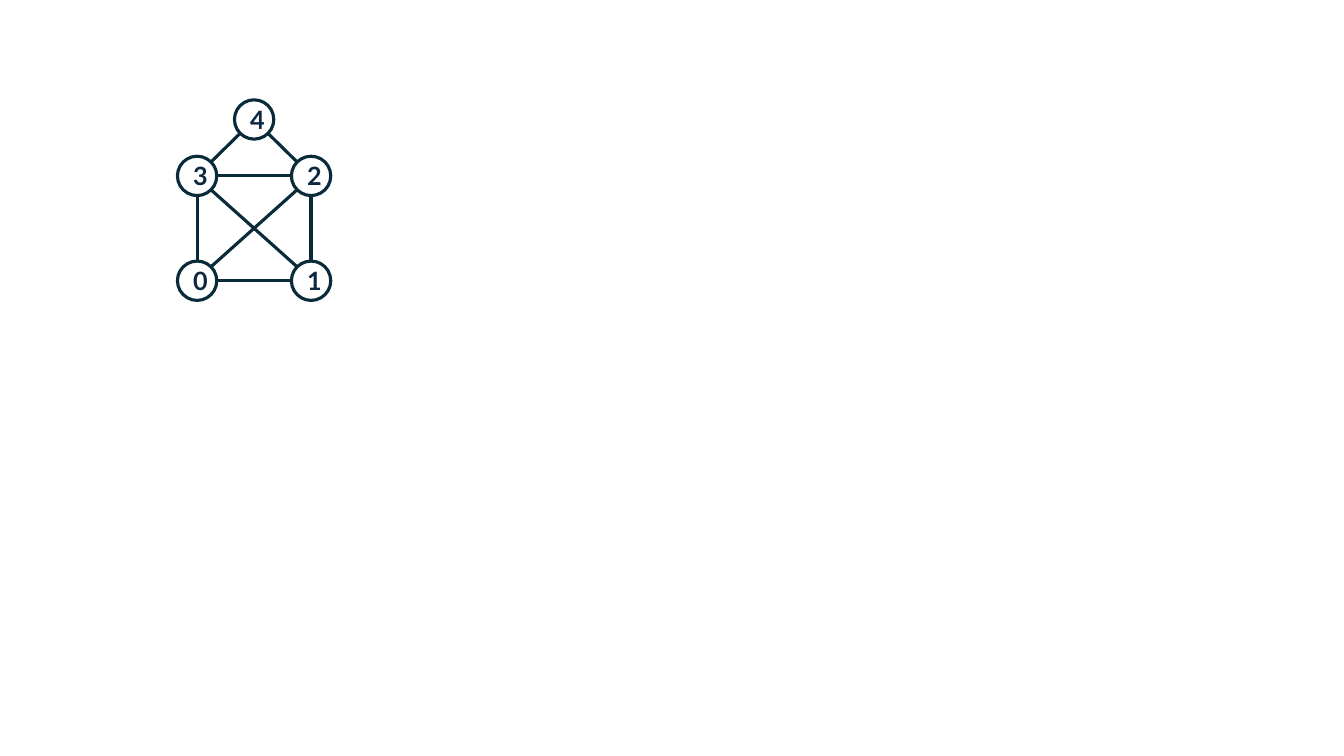
from math import hypot

from pptx import Presentation
from pptx.dml.color import RGBColor
from pptx.enum.shapes import MSO_CONNECTOR, MSO_SHAPE
from pptx.enum.text import MSO_ANCHOR, PP_ALIGN
from pptx.oxml.ns import qn
from pptx.util import Inches, Pt

LINE = RGBColor(0x09, 0x2A, 0x39)
INK = RGBColor(0x0E, 0x28, 0x41)
OVAL = MSO_SHAPE.OVAL
STRAIGHT = MSO_CONNECTOR.STRAIGHT
MIDDLE = MSO_ANCHOR.MIDDLE
CENTER = PP_ALIGN.CENTER

SIZE = 0.39
SPOTS = {"0": (0, 1), "1": (1, 1), "3": (0, 0.35), "2": (1, 0.35), "4": (0.5, 0)}
EDGES = ["43", "24", "23", "30", "31", "20", "10", "21"]


def write(frame, text, size=18, font="Lato", color=INK, bold=True):
    """Put centred text in a frame."""
    frame.vertical_anchor = MIDDLE
    para = frame.paragraphs[0]
    para.alignment = CENTER
    run = para.add_run()
    run.text = text
    run.font.size = Pt(size)
    run.font.name = font
    run.font.bold = bold
    run.font.color.rgb = color


def stroke(line):
    """Give a line the graph's colour and width."""
    line.color.rgb = LINE
    line.width = Pt(2.25)


def add_node(slide, name, x, y):
    """Draw a labelled circle centred on a point."""
    half = SIZE / 2
    node = slide.shapes.add_shape(
        OVAL, Inches(x - half), Inches(y - half), Inches(SIZE), Inches(SIZE))
    node.shadow.inherit = False
    node.fill.background()
    stroke(node.line)
    write(node.text_frame, name)


def rim(start, goal):
    """Find the point on a circle's rim, in steps of 45 degrees, facing a goal."""
    signs = [(b > a) - (b < a) for a, b in zip(start, goal)]
    reach = SIZE / 2 / hypot(*signs)
    return [Inches(a + sign * reach) for a, sign in zip(start, signs)]


def add_edge(slide, start, goal):
    """Join the rims of two circles given by their centres."""
    edge = slide.shapes.add_connector(
        STRAIGHT, *rim(start, goal), *rim(goal, start))
    stroke(edge.line)
    props = edge._element.spPr
    props.append(props.makeelement(qn("a:effectLst"), {}))


def add_graph(slide, left, top, width, height):
    """Draw the house graph inside a box."""
    half = SIZE / 2
    spots = {
        name: (left + half + x * (width - SIZE), top + half + y * (height - SIZE))
        for name, (x, y) in SPOTS.items()
    }
    for name, (x, y) in spots.items():
        add_node(slide, name, x, y)
    for start, goal in EDGES:
        add_edge(slide, spots[start], spots[goal])


def main():
    """Build and save the slide."""
    deck = Presentation()
    deck.slide_width = Inches(13.33)
    deck.slide_height = Inches(7.5)
    slide = deck.slides.add_slide(deck.slide_layouts[6])
    add_graph(slide, 1.76, 0.99, 1.52, 1.99)
    deck.save("out.pptx")


if __name__ == "__main__":
    main()
